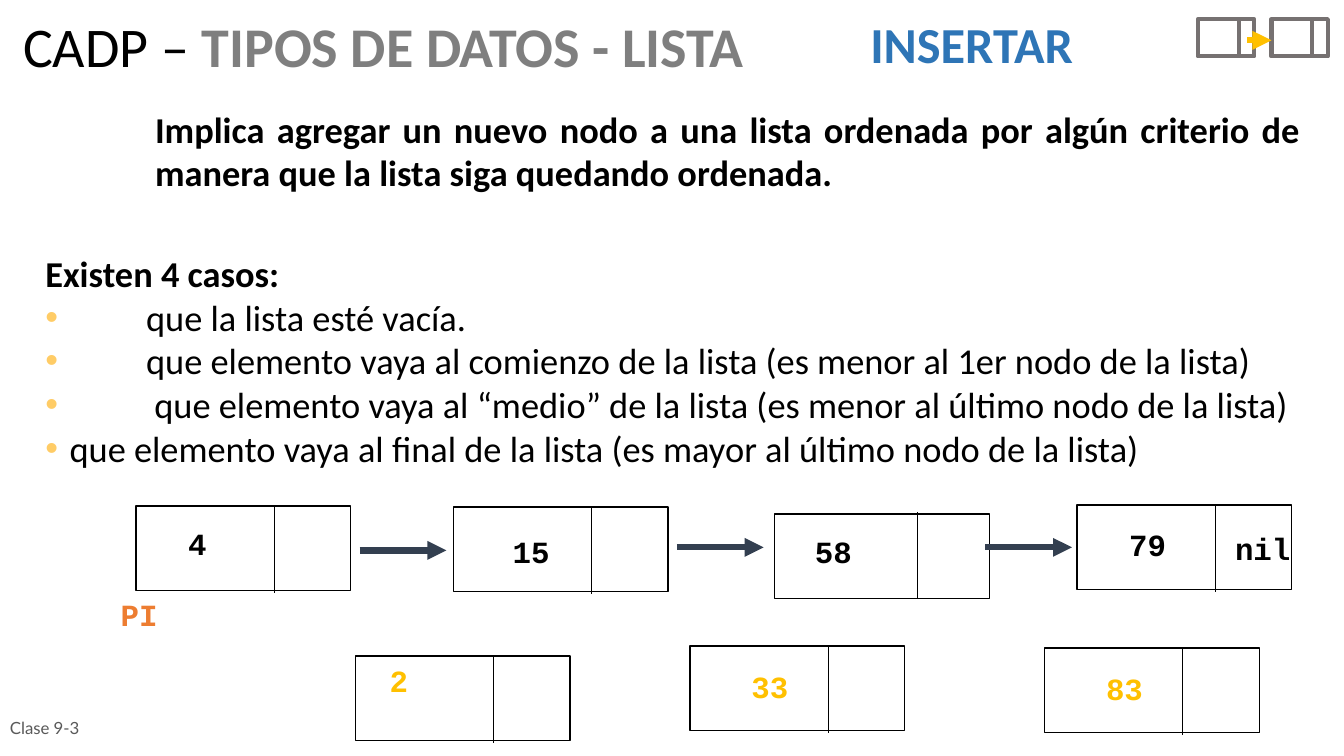
from lxml.etree import SubElement
from pptx import Presentation
from pptx.dml.color import RGBColor
from pptx.enum.shapes import MSO_CONNECTOR, MSO_SHAPE
from pptx.enum.text import MSO_ANCHOR, MSO_AUTO_SIZE, PP_ALIGN
from pptx.oxml.ns import qn
from pptx.util import Inches, Pt

COLORS = {
    "black": "000000", "gray": "7F7F7F", "blue": "2E75B6", "icon": "767171",
    "gold": "FFC000", "bullet": "FFCC66", "arrow": "333F50",
    "orange": "ED7D31", "footer": "595959",
}

CASES = [
    "\tque la lista esté vacía.",
    "\tque elemento vaya al comienzo de la lista (es menor al 1er nodo de la lista)",
    "\t que elemento vaya al “medio” de la lista (es menor al último nodo de la lista)",
    "que elemento vaya al final de la lista (es mayor al último nodo de la lista)",
]

LIST_NODES = [
    (1.35, 5.02, "4", 1.77, 5.16),
    (4.5, 5.03, "15", 4.99, 5.24),
    (7.69, 5.1, "58", 7.99, 5.24),
    (10.69, 5.01, "79", 11.11, 5.17),
]
NEW_NODES = [
    (3.53, 6.51, "2", 3.77, 6.52),
    (6.85, 6.41, "33", 7.36, 6.58),
    (10.37, 6.43, "83", 10.88, 6.6),
]
LINKS = [(3.57, 5.46), (6.72, 5.43), (9.78, 5.43)]


def color(name):
    return RGBColor.from_string(COLORS[name])


def style_run(run, size, color_name, bold=False, font="Calibri"):
    run.font.size = Pt(size)
    run.font.name = font
    run.font.bold = bold
    run.font.color.rgb = color(color_name)


def place(shape, left, top, width, height):
    shape.left, shape.top = Inches(left), Inches(top)
    shape.width, shape.height = Inches(width), Inches(height)


def add_text(slide, box, text, size, color_name, bold=True, font="Calibri",
             align=PP_ALIGN.LEFT, anchor=MSO_ANCHOR.TOP):
    frame = slide.shapes.add_textbox(*map(Inches, box)).text_frame
    frame.word_wrap = True
    frame.vertical_anchor = anchor
    paragraph = frame.paragraphs[0]
    paragraph.text = text
    paragraph.alignment = align
    style_run(paragraph.runs[0], size, color_name, bold, font)


def add_code(slide, left, top, text, color_name):
    width = 0.25 + 0.2 * len(text)
    add_text(slide, (left, top, width, 0.47), text, 22, color_name,
             font="Courier New")


def add_line(slide, start, end, color_name, weight, arrow=False):
    line = slide.shapes.add_connector(
        MSO_CONNECTOR.STRAIGHT, *map(Inches, (*start, *end)))
    line.line.color.rgb = color(color_name)
    line.line.width = Pt(weight)
    properties = line._element.spPr
    if arrow:
        SubElement(properties.find(qn("a:ln")), qn("a:tailEnd"), type="triangle")
    SubElement(properties, qn("a:effectLst"))


def add_cell_pair(slide, left, top, width, height, divider, divider_height,
                  color_name, weight, divider_weight, lift=0):
    frame = slide.shapes.add_shape(
        MSO_SHAPE.RECTANGLE, *map(Inches, (left, top, width, height)))
    frame.shadow.inherit = False
    frame.fill.background()
    frame.line.color.rgb = color(color_name)
    frame.line.width = Pt(weight)
    x, y = left + divider, top - lift
    add_line(slide, (x, y), (x, y + divider_height), color_name, divider_weight)


def add_node(slide, node, value_color):
    left, top, value, value_left, value_top = node
    divider, lift = (1.42, 0.02) if value == "58" else (1.37, 0)
    add_cell_pair(slide, left, top, 2.13, 0.84, divider, 0.86, "black", 1, 0.5, lift)
    add_code(slide, value_left, value_top, value, value_color)


def add_icon(slide):
    for left, divider in ((11.89, 0.41), (12.62, 0.4)):
        add_cell_pair(slide, left, 0.19, 0.56, 0.37, divider, 0.38, "icon", 3, 3)
    add_line(slide, (12.38, 0.4), (12.62, 0.4), "gold", 4.5, arrow=True)


def set_bullet(paragraph, bulleted, hanging):
    properties = paragraph._p.get_or_add_pPr()
    properties.set("marL", str(Inches(hanging)))
    properties.set("indent", str(-Inches(hanging)))
    if not bulleted:
        SubElement(properties, qn("a:buNone"))
        return
    bullet_color = SubElement(properties, qn("a:buClr"))
    SubElement(bullet_color, qn("a:srgbClr"), val=COLORS["bullet"])
    SubElement(properties, qn("a:buFont"), typeface="Arial")
    SubElement(properties, qn("a:buChar"), char="•")
    tabs = SubElement(properties, qn("a:tabLst"))
    for inch in range(1, 9):
        SubElement(tabs, qn("a:tab"), pos=str(Inches(inch)), algn="l")


def fill_title(title):
    place(title, 0.13, 0.14, 8.74, 0.76)
    frame = title.text_frame
    frame.auto_size = MSO_AUTO_SIZE.NONE
    frame.vertical_anchor = MSO_ANCHOR.TOP
    paragraph = frame.paragraphs[0]
    paragraph.alignment = PP_ALIGN.LEFT
    paragraph.line_spacing = 0.9
    for text, color_name, bold in (("CADP – ", "black", False),
                                   ("TIPOS DE DATOS - LISTA", "gray", True)):
        run = paragraph.add_run()
        run.text = text
        style_run(run, 40, color_name, bold)


def fill_cases(body):
    place(body, 0.35, 2.44, 12.67, 2.27)
    frame = body.text_frame
    frame.auto_size = MSO_AUTO_SIZE.NONE
    frame.text = "\n".join(["Existen 4 casos:", *CASES])
    for index, paragraph in enumerate(frame.paragraphs):
        set_bullet(paragraph, index > 0, 0.24 if index == len(CASES) else 0)
        paragraph.alignment = PP_ALIGN.JUSTIFY
        paragraph.space_before = Pt(0)
        style_run(paragraph.runs[0], 26, "black", index == 0)


def main():
    deck = Presentation()
    deck.slide_width, deck.slide_height = Inches(13.34), Inches(7.5)
    slide = deck.slides.add_slide(deck.slide_layouts[1])
    fill_title(slide.shapes.title)
    fill_cases(slide.placeholders[1])
    add_text(slide, (8.54, 0.08, 3.04, 0.7), "INSERTAR", 36, "blue",
             align=PP_ALIGN.JUSTIFY)
    add_text(slide, (1.44, 1.01, 11.58, 0.97),
             "Implica agregar un nuevo nodo a una lista ordenada por algún criterio "
             "de manera que la lista siga quedando ordenada.",
             26, "black", align=PP_ALIGN.JUSTIFY)
    add_icon(slide)
    for node in LIST_NODES:
        add_node(slide, node, "black")
    for node in NEW_NODES:
        add_node(slide, node, "gold")
    for x, y in LINKS:
        add_line(slide, (x, y), (x + 0.86, y), "arrow", 4.5, arrow=True)
    add_code(slide, 12.16, 5.21, "nil", "black")
    add_code(slide, 1.1, 5.86, "PI", "orange")
    add_text(slide, (0, 7.02, 2.33, 0.4), "Clase 9-3", 12, "footer",
             bold=False, font="Lato", anchor=MSO_ANCHOR.MIDDLE)
    deck.save("out.pptx")


if __name__ == "__main__":
    main()
